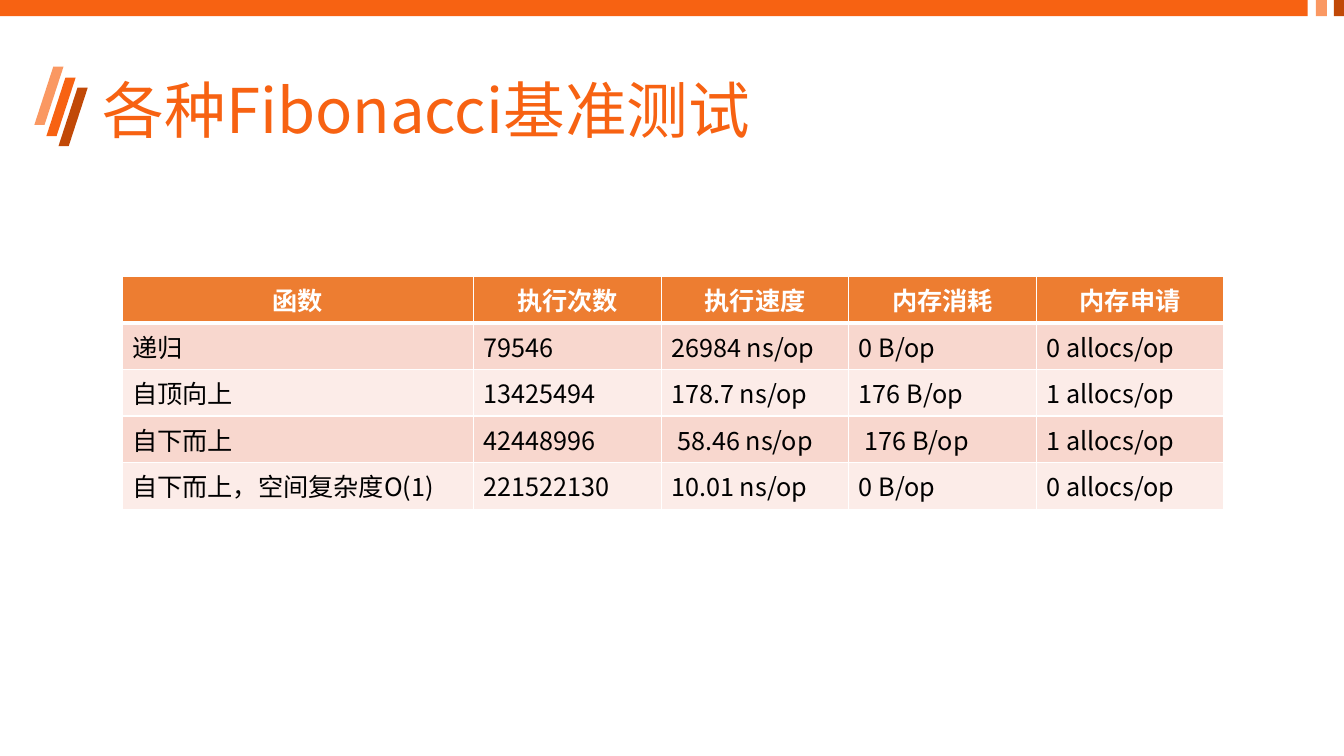
from lxml import etree
from pptx import Presentation
from pptx.dml.color import RGBColor
from pptx.enum import shapes, text
from pptx.oxml import ns
from pptx.util import Inches, Pt

TITLE = "各种Fibonacci基准测试"
ROWS = [
    ("函数", "执行次数", "执行速度", "内存消耗", "内存申请"),
    ("递归", "79546", "26984 ns/op", "0 B/op", "0 allocs/op"),
    ("自顶向上", "13425494", "178.7 ns/op", "176 B/op", "1 allocs/op"),
    ("自下而上", "42448996", " 58.46 ns/op", " 176 B/op", "1 allocs/op"),
    ("自下而上，空间复杂度O(1)", "221522130", "10.01 ns/op", "0 B/op", "0 allocs/op"),
]
WIDTHS = [3.49] + [1.86] * 4
ROW_H = 0.46
FONT = "Noto Sans CJK SC"

ORANGE = RGBColor(0xF7, 0x62, 0x12)
LIGHT = RGBColor(0xFA, 0x98, 0x62)
DARK = RGBColor(0xC1, 0x49, 0x07)
HEAD = RGBColor(0xED, 0x7D, 0x31)
BANDS = [RGBColor(0xFC, 0xEC, 0xE8), RGBColor(0xF8, 0xD7, 0xCE)]
WHITE = RGBColor(0xFF, 0xFF, 0xFF)
BLACK = RGBColor(0, 0, 0)

STRIPES = [ORANGE, LIGHT, DARK]
SLANTS = [(0.46, 0.77), (0.34, 0.66), (0.58, 0.87)]
BARS = [(0, 12.97), (13.05, 0.11), (13.23, 0.11)]


def add_block(slide, kind, box, color):
    block = slide.shapes.add_shape(kind, *map(Inches, box))
    block.shadow.inherit = False
    block.fill.solid()
    block.fill.fore_color.rgb = color
    block.line.fill.background()
    return block


def add_run(para, words, size, color, bold=False):
    run = para.add_run()
    run.text = words
    font = run.font
    font.name, font.size, font.bold = FONT, Pt(size), bold
    font.color.rgb = color
    east = etree.SubElement(run._r.get_or_add_rPr(), ns.qn("a:ea"))
    east.set("typeface", FONT)


def add_edge(cell, side, width):
    props = cell._tc.get_or_add_tcPr()
    line = etree.SubElement(props, ns.qn("a:ln" + side), w=str(Pt(width)))
    fill = etree.SubElement(line, ns.qn("a:solidFill"))
    etree.SubElement(fill, ns.qn("a:srgbClr"), val=str(WHITE))


def add_title(slide):
    title = slide.shapes.title
    title.left, title.top = Inches(0.92), Inches(0.4)
    title.width, title.height = Inches(11.5), Inches(1.45)
    frame = title.text_frame
    frame.auto_size = text.MSO_AUTO_SIZE.NONE
    frame.vertical_anchor = text.MSO_ANCHOR.MIDDLE
    para = frame.paragraphs[0]
    para.alignment = text.PP_ALIGN.LEFT
    para.line_spacing = 0.9
    add_run(para, TITLE, 44, ORANGE)


def add_grid(slide):
    box = (1.21, 2.74, sum(WIDTHS), ROW_H * len(ROWS))
    grid = slide.shapes.add_table(len(ROWS), len(WIDTHS), *map(Inches, box)).table
    for col, width in zip(grid.columns, WIDTHS):
        col.width = Inches(width)
    for i, row in enumerate(ROWS):
        grid.rows[i].height = Inches(ROW_H)
        for j, words in enumerate(row):
            cell = grid.cell(i, j)
            top = 3 if i == 1 else 1
            low = 3 if i == 0 else 1
            for side, width in (("L", 1), ("R", 1), ("T", top), ("B", low)):
                add_edge(cell, side, width)
            cell.fill.solid()
            cell.fill.fore_color.rgb = BANDS[i % 2] if i else HEAD
            para = cell.text_frame.paragraphs[0]
            para.alignment = text.PP_ALIGN.LEFT if i else text.PP_ALIGN.CENTER
            add_run(para, words, 18, BLACK if i else WHITE, i == 0)


def main():
    deck = Presentation()
    deck.slide_width, deck.slide_height = Inches(13.33), Inches(7.5)
    slide = deck.slides.add_slide(deck.slide_layouts[5])
    for (left, top), color in zip(SLANTS, STRIPES):
        box = (left, top, 0.29, 0.58)
        slant = add_block(slide, shapes.MSO_SHAPE.PARALLELOGRAM, box, color)
        slant.adjustments[0] = 0.65
    for (left, width), color in zip(BARS, STRIPES):
        add_block(slide, shapes.MSO_SHAPE.RECTANGLE, (left, 0, width, 0.16), color)
    add_title(slide)
    add_grid(slide)
    deck.save("out.pptx")


if __name__ == "__main__":
    main()
